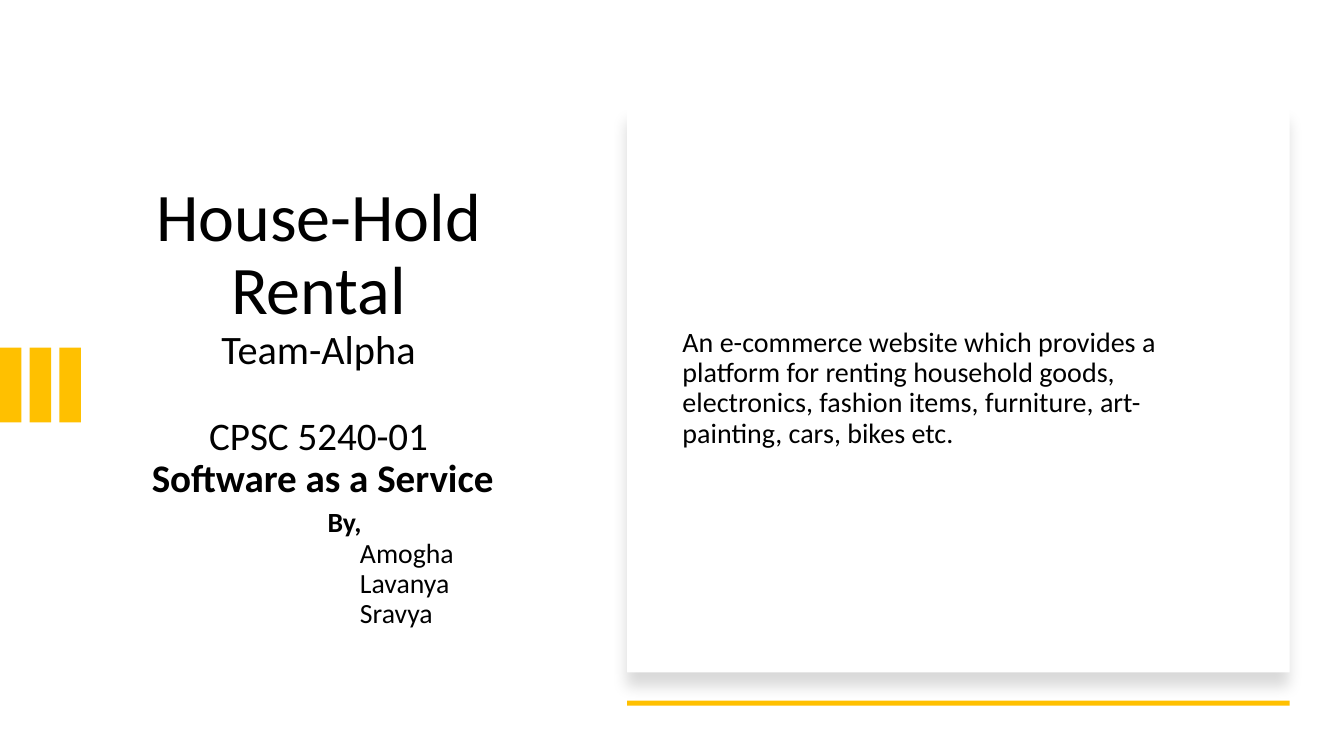
"""Build the title slide of the House-Hold Rental project."""
from lxml import etree
from pptx import Presentation
from pptx import util as u
from pptx.dml.color import RGBColor
from pptx.enum import shapes, text
from pptx.oxml.ns import qn

HEADING = [
    dict(words="House-Hold Rental", size=48.6),
    dict(words="Team-Alpha", size=28.8),
    dict(words="CPSC 5240-01", size=27.9, before=31.5),
    dict(words="Software as a Service", size=27.9, bold=True, indent=0.08),
    dict(words="By,", size=19.8, bold=True, indent=2.12, before=5, centred=False),
] + [
    dict(words=name, size=19.8, indent=2.44, before=gap, centred=False)
    for name, gap in (("Amogha", 1), ("Lavanya", 0), ("Sravya", 0))
]
SUMMARY = [dict(
    words="An e-commerce website which provides a  platform for renting household goods, "
          "electronics, fashion items, furniture, art-painting, cars, bikes etc.",
    size=20, centred=False)]

COLOURS = {"text": "000000", "accent": "FFC000", "panel": "FFFFFF", "shadow": "000000"}
FONT = "Calibri"
WIDTH, HEIGHT = u.Inches(13.33), u.Inches(7.5)

HEADING_AREA = (7.73, 18.53, 31.96, 62.8)
PANEL_AREA = (46.66, 14.27, 49.29, 74.67)
SUMMARY_AREA = (50.04, 20, 42.84, 62.8)
RULE_AREA = (PANEL_AREA[0], 92.67, PANEL_AREA[2], 0.67)
BAR_COUNT, BAR_STEP, BAR_WIDTH = 3, 2.21, 1.6
BAR_TOP, BAR_HEIGHT = 46, 9.87


def place(area):
    """Turn percentages of the slide into left, top, width and height."""
    return [int(side * share / 100) for side, share in zip((WIDTH, HEIGHT) * 2, area)]


def add_block(slide, area, colour):
    """Draw a plain filled rectangle."""
    block = slide.shapes.add_shape(shapes.MSO_SHAPE.RECTANGLE, *place(area))
    block.shadow.inherit = False
    block.fill.solid()
    block.fill.fore_color.rgb = RGBColor.from_string(COLOURS[colour])
    block.line.fill.background()
    return block


def write(paragraph, words, size, bold=False, indent=0, before=0, centred=True):
    """Fill one paragraph and set its format."""
    paragraph.alignment = text.PP_ALIGN.CENTER if centred else text.PP_ALIGN.LEFT
    paragraph.line_spacing = 0.9
    paragraph.space_before = u.Pt(before)
    paragraph.space_after = u.Pt(0)
    properties = paragraph._p.get_or_add_pPr()
    properties.set("marL", str(u.Inches(indent)))
    properties.set("indent", "0")
    run = paragraph.add_run()
    run.text = words
    run.font.name, run.font.size, run.font.bold = FONT, u.Pt(size), bold
    run.font.color.rgb = RGBColor.from_string(COLOURS["text"])


def fill_frame(frame, lines, anchor):
    """Write each line as a paragraph of the frame."""
    frame.word_wrap = True
    frame.auto_size = text.MSO_AUTO_SIZE.NONE
    frame.vertical_anchor = anchor
    for index, line in enumerate(lines):
        write(frame.add_paragraph() if index else frame.paragraphs[0], **line)


def add_soft_shadow(block):
    """Put a soft shadow below a block."""
    effects = block._element.spPr.find(qn("a:effectLst"))
    shadow = etree.SubElement(effects, qn("a:outerShdw"), blurRad=str(u.Pt(11)),
                              dist=str(u.Pt(10)), dir="5400000", algn="t", rotWithShape="0")
    tint = etree.SubElement(shadow, qn("a:srgbClr"), val=COLOURS["shadow"])
    etree.SubElement(tint, qn("a:alpha"), val="15000")


def main():
    """Build and save the slide."""
    deck = Presentation()
    deck.slide_width, deck.slide_height = WIDTH, HEIGHT
    slide = deck.slides.add_slide(deck.slide_layouts[5])

    heading = slide.shapes.title
    heading.left, heading.top, heading.width, heading.height = place(HEADING_AREA)
    heading.text_frame.margin_top = u.Inches(0.42)
    fill_frame(heading.text_frame, HEADING, text.MSO_ANCHOR.TOP)

    for index in range(BAR_COUNT):
        add_block(slide, (index * BAR_STEP, BAR_TOP, BAR_WIDTH, BAR_HEIGHT), "accent")

    add_soft_shadow(add_block(slide, PANEL_AREA, "panel"))
    summary = slide.shapes.add_textbox(*place(SUMMARY_AREA))
    fill_frame(summary.text_frame, SUMMARY, text.MSO_ANCHOR.MIDDLE)
    add_block(slide, RULE_AREA, "accent")

    deck.save("out.pptx")


if __name__ == "__main__":
    main()
